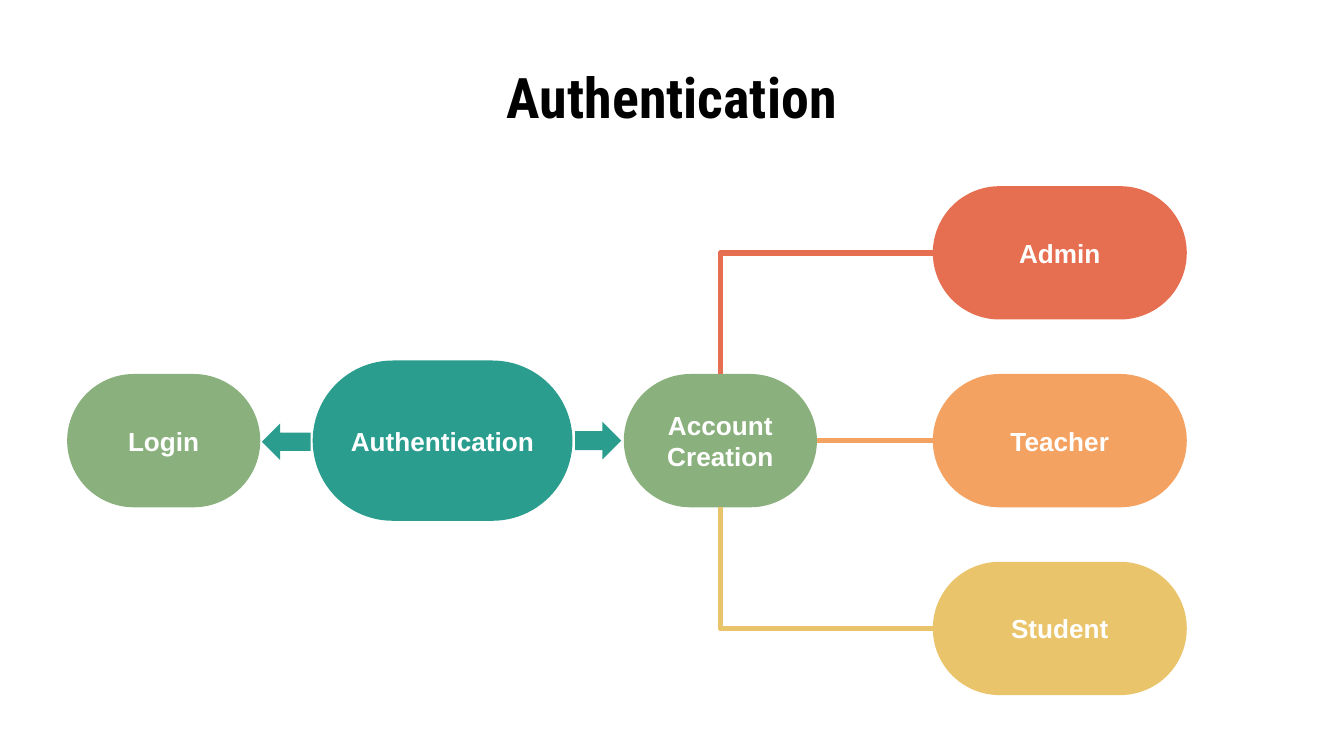
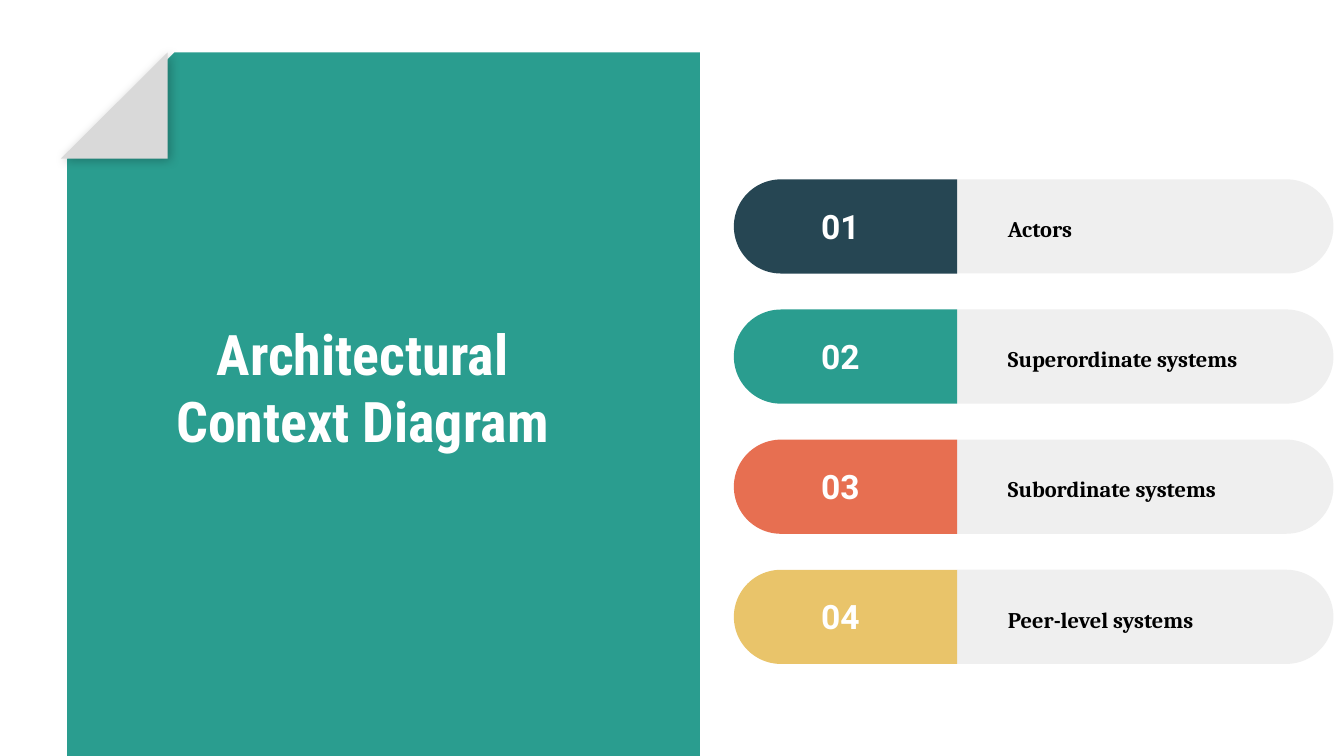
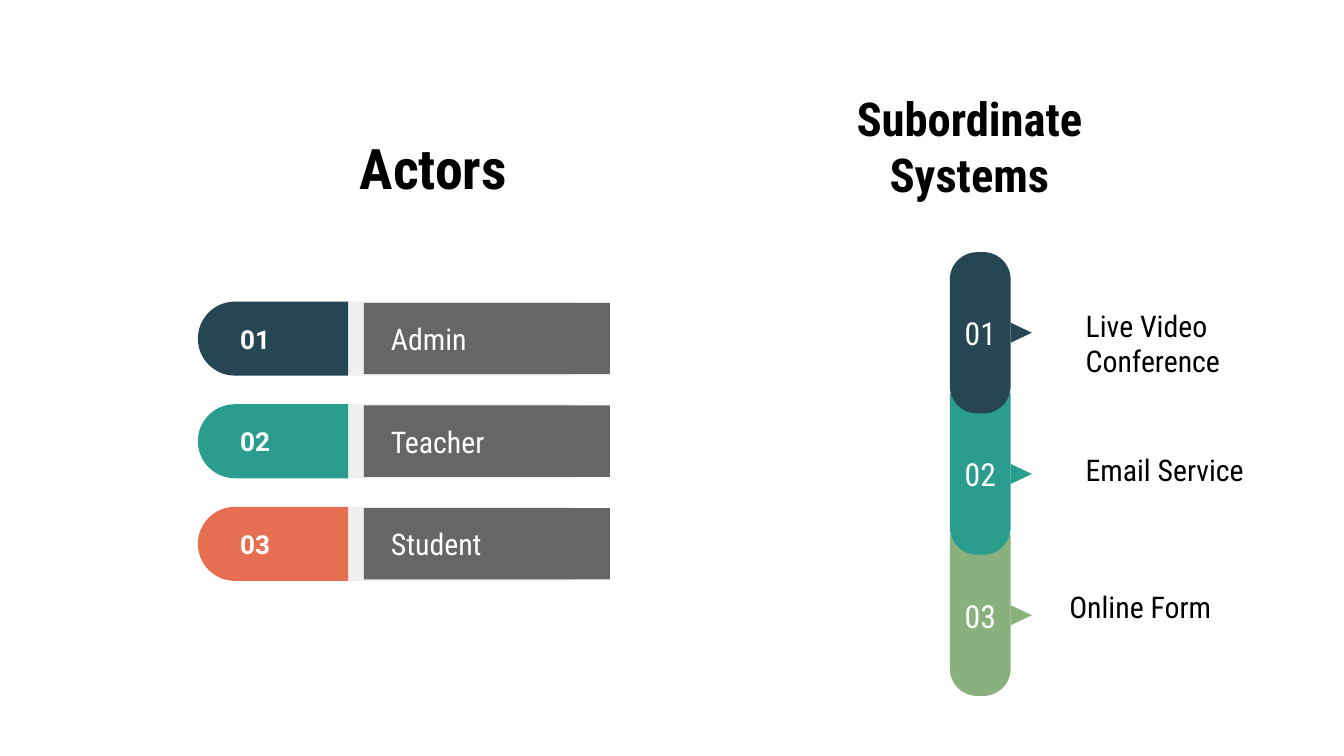
from lxml.etree import SubElement
from pptx import Presentation
from pptx.dml.color import RGBColor
from pptx.enum.shapes import MSO_CONNECTOR, MSO_SHAPE
from pptx.enum.text import MSO_ANCHOR, MSO_AUTO_SIZE, PP_ALIGN
from pptx.oxml.ns import qn
from pptx.util import Cm, Pt

# Shared colours and text formats
NAVY, TEAL, GREEN = "264653", "2A9D8F", "8AB17D"
CORAL, ORANGE, YELLOW = "E76F51", "F4A261", "E9C46A"
PALE, GREY, SILVER, WHITE, BLACK = "EFEFEF", "666666", "D9D9D9", "FFFFFF", "000000"

TITLE = dict(name="Roboto Condensed", size=Pt(30), bold=True)
SUBTITLE = dict(TITLE, size=Pt(25))
NODE = dict(name="Arial", size=Pt(14), bold=True)
NUMBER = dict(name="Roboto", size=Pt(18), bold=True)
SMALL_NUMBER = dict(NUMBER, size=Pt(14))
THIN_NUMBER = dict(name="Roboto Condensed", size=Pt(17), bold=False)
SYSTEM = dict(name="Cambria", size=Pt(12), bold=True)
BODY = dict(name="Roboto Condensed", size=Pt(16), bold=False)

CENTER = dict(alignment=PP_ALIGN.CENTER)
LEFT = dict(alignment=PP_ALIGN.LEFT)
LOOSE = dict(LEFT, line_spacing=1.15)
FRAME = dict(word_wrap=True, auto_size=MSO_AUTO_SIZE.NONE,
             vertical_anchor=MSO_ANCHOR.MIDDLE,
             margin_left=Cm(0.25), margin_right=Cm(0.25),
             margin_top=Cm(0.25), margin_bottom=Cm(0.25))
WIDE = dict(FRAME, margin_left=Cm(0.51), margin_right=Cm(0.51))
TOP = dict(FRAME, vertical_anchor=MSO_ANCHOR.TOP)


def write(sp, text, font, color, para=CENTER, frame=FRAME):
    """Fill a shape, text box or placeholder with formatted text."""
    tf = sp.text_frame
    tf.text = text
    for key, value in frame.items():
        setattr(tf, key, value)
    for p in tf.paragraphs:
        for key, value in para.items():
            setattr(p, key, value)
        for r in p.runs:
            for key, value in font.items():
                setattr(r.font, key, value)
            r.font.color.rgb = RGBColor.from_string(color)


def draw(s, kind, x, cy, w, h, color, rot=0, adj=None):
    """Add a flat shape by its visible left edge, middle height and size in cm."""
    cx = x + w / 2
    if rot in (90, 270):
        w, h = h, w
    sp = s.shapes.add_shape(kind, Cm(cx - w / 2), Cm(cy - h / 2), Cm(w), Cm(h))
    sp.rotation = rot
    for i, value in enumerate(adj or []):
        sp.adjustments[i] = value
    sp.fill.solid()
    sp.fill.fore_color.rgb = RGBColor.from_string(color)
    sp.line.fill.background()
    sp.shadow.inherit = False
    return sp


prs = Presentation()
prs.slide_width, prs.slide_height = Cm(25.4), Cm(14.29)

# Slides with their titles
slides = []
for text, color, frame, box in [
    ("Authentication", BLACK, FRAME, (1.27, 1.14, 22.86, 1.35)),
    ("Architectural Context Diagram", WHITE, TOP, (2.69, 5.79, 8.33, 3.07)),
    ("Actors", BLACK, FRAME, (4.57, 2.57, 7.24, 1.17)),
]:
    s = prs.slides.add_slide(prs.slide_layouts[5])
    title = s.shapes.title
    title.left, title.top, title.width, title.height = map(Cm, box)
    write(title, text, TITLE, color, frame=frame)
    slides.append(s)

# Slide 1: authentication flow
s = slides[0]
mid, role_step = 8.33, 3.55
nodes = {}
for text, x, cy, w, h, color in [
    ("Authentication", 5.91, mid, 4.91, 3.03, TEAL),
    ("Account\nCreation", 11.79, mid, 3.65, 2.52, GREEN),
    ("Login", 1.27, mid, 3.65, 2.52, GREEN),
    ("Admin", 17.63, mid - role_step, 4.8, 2.52, CORAL),
    ("Teacher", 17.63, mid, 4.8, 2.52, ORANGE),
    ("Student", 17.63, mid + role_step, 4.8, 2.52, YELLOW),
]:
    nodes[text] = draw(s, MSO_SHAPE.ROUNDED_RECTANGLE, x, cy, w, h, color, adj=[0.5])
    write(nodes[text], text, NODE, WHITE)

draw(s, MSO_SHAPE.RIGHT_ARROW, 4.95, 8.35, 0.92, 0.69, TEAL, rot=180)
draw(s, MSO_SHAPE.RIGHT_ARROW, 10.87, mid, 0.87, 0.71, TEAL)

# Links from each role to one side of the account node
for role, kind, side, color in [
    ("Admin", MSO_CONNECTOR.ELBOW, 0, CORAL),
    ("Teacher", MSO_CONNECTOR.STRAIGHT, 3, ORANGE),
    ("Student", MSO_CONNECTOR.ELBOW, 2, YELLOW),
]:
    c = s.shapes.add_connector(kind, 0, 0, 0, 0)
    c.begin_connect(nodes[role], 1)
    c.end_connect(nodes["Account\nCreation"], side)
    c.line.color.rgb = RGBColor.from_string(color)
    c.line.width = Pt(3)
    sp_pr = c.element.spPr
    SubElement(sp_pr, qn("a:effectLst"))
    if kind == MSO_CONNECTOR.ELBOW:
        sp_pr.find(qn("a:prstGeom")).set("prst", "bentConnector2")

# Slide 2: page with a folded corner
s = slides[1]
page = [(1.27, 3), (1.27, 15.98), (13.23, 15.98), (13.23, 0.99), (3.3, 0.99)]
fold = [(1.15, 3), (3.17, 0.99), (3.17, 3)]
for points, color in [(page, TEAL), (fold, SILVER)]:
    points = [(Cm(x), Cm(y)) for x, y in points]
    builder = s.shapes.build_freeform(*points[0])
    builder.add_line_segments(points[1:], close=True)
    sp = builder.convert_to_shape()
    sp.fill.solid()
    sp.fill.fore_color.rgb = RGBColor.from_string(color)
    sp.line.fill.background()
    sp.shadow.inherit = False

# Soft shadow under the fold, title in front of the page
effects = sp.element.spPr.find(qn("a:effectLst"))
shadow = SubElement(effects, qn("a:outerShdw"), blurRad=str(Pt(5.6)),
                    dist=str(Pt(1.5)), dir=str(44 * 60000), algn="bl", rotWithShape="0")
tint = SubElement(shadow, qn("a:srgbClr"), val=BLACK)
SubElement(tint, qn("a:alpha"), val="25000")
title = s.shapes.title.element
title.getparent().append(title)

# Numbered list of systems
for i, (text, color) in enumerate([
    ("Actors", NAVY), ("Superordinate systems", TEAL),
    ("Subordinate systems", CORAL), ("Peer-level systems", YELLOW),
]):
    cy = 4.28 + 2.46 * i
    draw(s, MSO_SHAPE.ROUND_2_SAME_RECTANGLE, 18.09, cy, 7.11, 1.78, PALE, 90, [0.5, 0])
    draw(s, MSO_SHAPE.ROUND_2_SAME_RECTANGLE, 13.87, cy, 4.22, 1.78, color, 270, [0.5, 0])
    sp = s.shapes.add_textbox(Cm(18.54), Cm(cy - 0.86), Cm(6.86), Cm(1.73))
    write(sp, text, SYSTEM, BLACK, LOOSE, WIDE)
    sp = s.shapes.add_textbox(Cm(15.27), Cm(cy - 0.55), Cm(1.6), Cm(1.09))
    write(sp, f"{i + 1:02}", NUMBER, WHITE, LEFT)

# Slide 3: actors
s = slides[2]
for i, (text, color) in enumerate([
    ("Admin", NAVY), ("Teacher", TEAL), ("Student", CORAL),
]):
    cy = 6.4 + 1.94 * i
    draw(s, MSO_SHAPE.ROUND_2_SAME_RECTANGLE, 6.57, cy, 4.83, 1.4, PALE, 90, [0.5, 0])
    draw(s, MSO_SHAPE.ROUND_2_SAME_RECTANGLE, 3.74, cy, 2.84, 1.4, color, 270, [0.5, 0])
    sp = draw(s, MSO_SHAPE.RECTANGLE, 6.88, cy, 4.65, 1.35, GREY)
    write(sp, text, BODY, WHITE, LEFT, WIDE)
    sp = s.shapes.add_textbox(Cm(4.29), Cm(cy - 0.43), Cm(1.75), Cm(0.86))
    write(sp, f"{i + 1:02}", SMALL_NUMBER, WHITE, LEFT)

# Subordinate systems, stacked from the bottom up so upper ends overlap lower ones
sp = s.shapes.add_textbox(Cm(15.54), Cm(2.18), Cm(5.56), Cm(1.17))
write(sp, "Subordinate Systems", SUBTITLE, BLACK)
for i, text, color, kind, adj, x, y, h in [
    (2, "Online Form", GREEN, MSO_SHAPE.ROUND_2_SAME_RECTANGLE, [0.45, 0], 19.96, 10.87, 1.19),
    (1, "Email Service", TEAL, MSO_SHAPE.ROUND_2_SAME_RECTANGLE, [0.45, 0], 20.27, 8.28, 1.19),
    (0, "Live Video Conference", NAVY, MSO_SHAPE.ROUNDED_RECTANGLE, [0.45], 20.27, 5.56, 1.88),
]:
    cy = 6.29 + 2.67 * i
    draw(s, kind, 17.95, cy, 1.15, 3.05, color, 180, adj)
    draw(s, MSO_SHAPE.ISOSCELES_TRIANGLE, 19.1, cy, 0.4, 0.38, color, 90)
    sp = s.shapes.add_textbox(Cm(17.91), Cm(cy - 0.72), Cm(1.24), Cm(1.45))
    write(sp, f"{i + 1:02}", THIN_NUMBER, WHITE)
    sp = s.shapes.add_textbox(Cm(x), Cm(y), Cm(3.86), Cm(h))
    write(sp, text, BODY, BLACK, LEFT, TOP)

prs.save("out.pptx")
